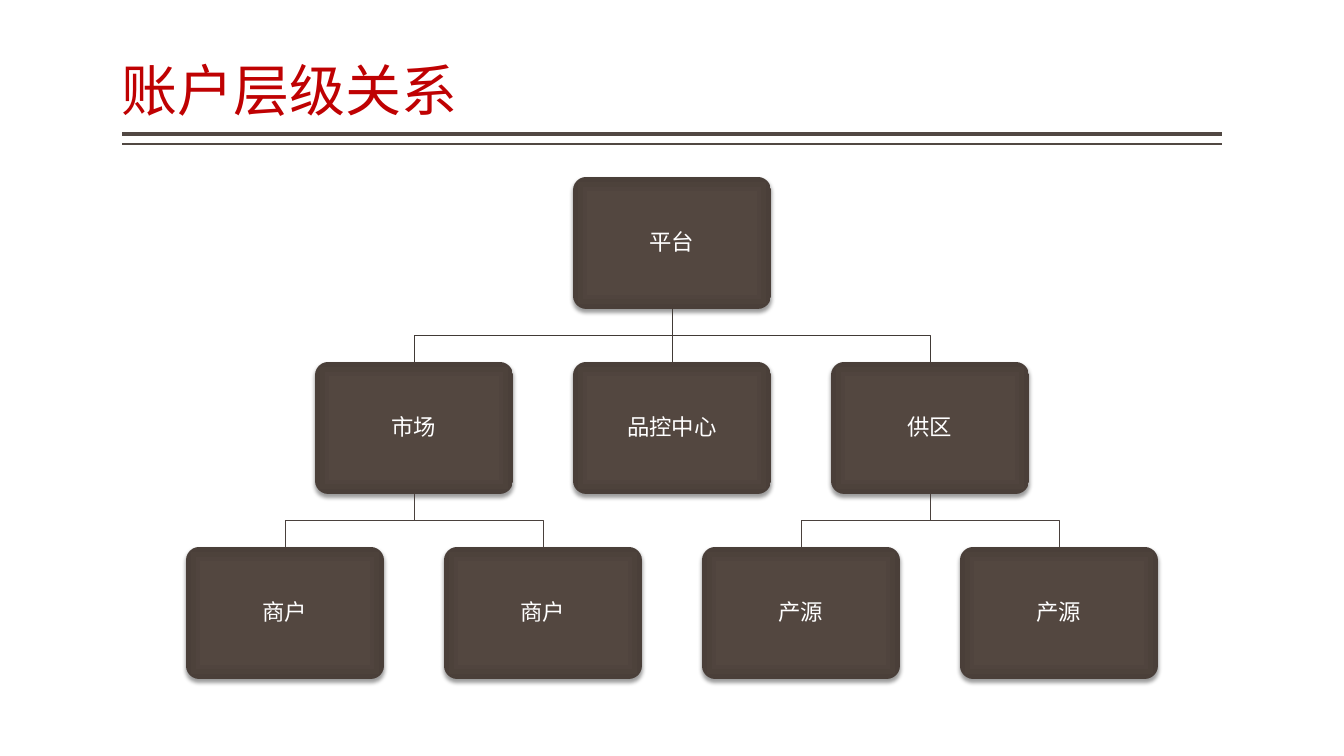
import pptx
import pptx.dml.color
import pptx.enum.shapes
import pptx.enum.text
import pptx.oxml
import pptx.oxml.ns
import pptx.util
from lxml import etree

RGB = pptx.dml.color.RGBColor
RED = RGB(0xBF, 0x01, 0x02)
WHITE = RGB(0xFF, 0xFF, 0xFF)
RULE = RGB(0x51, 0x48, 0x43)
LINK_COLORS = [RGB(0x41, 0x3A, 0x36), RGB(0x4A, 0x41, 0x3D)]
FONT = "Noto Sans CJK SC"

PX = 914400 / 100.8
BOX_W, BOX_H = 198, 132
HALF_PITCH, ROW_PITCH = 129, 185
CENTER_X, TOP_Y = 672, 177

NS = 'xmlns:a="http://schemas.openxmlformats.org/drawingml/2006/main"'
GRADIENT = f"""<a:gradFill {NS} rotWithShape="1"><a:gsLst>
<a:gs pos="0"><a:srgbClr val="544740"/></a:gs>
<a:gs pos="71000"><a:srgbClr val="534740"/></a:gs>
<a:gs pos="100000"><a:srgbClr val="4A3F39"/></a:gs></a:gsLst>
<a:path path="rect"><a:fillToRect l="50000" t="50000" r="50000" b="50000"/></a:path>
</a:gradFill>"""
SHADOW = f"""<a:outerShdw {NS} blurRad="39370" dist="25400" dir="5400000" rotWithShape="0">
<a:srgbClr val="000000"><a:alpha val="38000"/></a:srgbClr></a:outerShdw>"""


def px(n):
    return pptx.util.Emu(round(n * PX))


def write(tf, text, size, color, align, inset_x, inset_y):
    """Fill a text frame with one paragraph, setting the Latin and East Asian font."""
    tf.word_wrap = True
    tf.margin_left = tf.margin_right = px(inset_x)
    tf.margin_top = tf.margin_bottom = px(inset_y)
    p = tf.paragraphs[0]
    p.text = text
    p.alignment = align
    p.line_spacing = 0.9
    p.font.size = pptx.util.Pt(size)
    p.font.name = FONT
    p.font.color.rgb = color
    ea = etree.SubElement(p._p.pPr.defRPr, pptx.oxml.ns.qn("a:ea"))
    ea.set("typeface", FONT)


prs = pptx.Presentation()
prs.slide_width, prs.slide_height = px(1344), px(756)
s = prs.slides.add_slide(prs.slide_layouts[5])

# Title with its double rule
title = s.shapes.title
title.left, title.top, title.width, title.height = px(122), px(8), px(1100), px(121)
write(title.text_frame, "账户层级关系", 40, RED, pptx.enum.text.PP_ALIGN.LEFT, 0, 5)
title.text_frame.vertical_anchor = pptx.enum.text.MSO_ANCHOR.BOTTOM
title.text_frame.auto_size = pptx.enum.text.MSO_AUTO_SIZE.NONE

STRAIGHT = pptx.enum.shapes.MSO_CONNECTOR.STRAIGHT
for y, weight in [(134, 3), (144, 1)]:
    rule = s.shapes.add_connector(STRAIGHT, px(1222), px(y), px(122), px(y))
    rule.line.color.rgb = RULE
    rule.line.width = pptx.util.Pt(weight)
    etree.SubElement(rule._element.spPr, pptx.oxml.ns.qn("a:effectLst"))

# Accounts: name, level, half-pitches from the centre, index of the parent
accounts = [
    ("平台", 0, 0, None),
    ("市场", 1, -2, 0),
    ("品控中心", 1, 0, 0),
    ("供区", 1, 2, 0),
    ("商户", 2, -3, 1),
    ("商户", 2, -1, 1),
    ("产源", 2, 1, 3),
    ("产源", 2, 3, 3),
]

boxes = []
for name, level, column, parent in accounts:
    x, y = CENTER_X + column * HALF_PITCH, TOP_Y + level * ROW_PITCH
    box = s.shapes.add_shape(pptx.enum.shapes.MSO_SHAPE.ROUNDED_RECTANGLE,
                             px(x - BOX_W / 2), px(y), px(BOX_W), px(BOX_H))
    box.adjustments[0] = 0.1
    box.line.fill.background()
    box.shadow.inherit = False
    spPr = box._element.spPr
    spPr.insert(2, pptx.oxml.parse_xml(GRADIENT))
    spPr.find(pptx.oxml.ns.qn("a:effectLst")).append(pptx.oxml.parse_xml(SHADOW))
    write(box.text_frame, name, 16, WHITE, pptx.enum.text.PP_ALIGN.CENTER, 11, 11)
    box.text_frame.vertical_anchor = pptx.enum.text.MSO_ANCHOR.MIDDLE
    boxes.append(box)
    if parent is None:
        continue

    # Link from the bottom of the parent to the top of this box
    parent_x = CENTER_X + accounts[parent][2] * HALF_PITCH
    parent_y = y - ROW_PITCH + BOX_H
    if parent_x == x:
        link = s.shapes.add_connector(STRAIGHT, px(x), px(parent_y), px(x), px(y))
        link.begin_connect(boxes[parent], 2)
        link.end_connect(box, 0)
        etree.SubElement(link._element.spPr, pptx.oxml.ns.qn("a:effectLst"))
    else:
        mid_y = (parent_y + y) / 2
        path = s.shapes.build_freeform(px(parent_x), px(parent_y))
        path.add_line_segments([(px(parent_x), px(mid_y)), (px(x), px(mid_y)),
                                (px(x), px(y))], close=False)
        link = path.convert_to_shape()
        link.fill.background()
        link.shadow.inherit = False
    link.line.color.rgb = LINK_COLORS[level - 1]
    link.line.width = pptx.util.Pt(0.5)
    if parent_x == x:
        # The effect list must follow the line properties
        spPr = link._element.spPr
        spPr.append(spPr.find(pptx.oxml.ns.qn("a:effectLst")))

prs.save("out.pptx")
